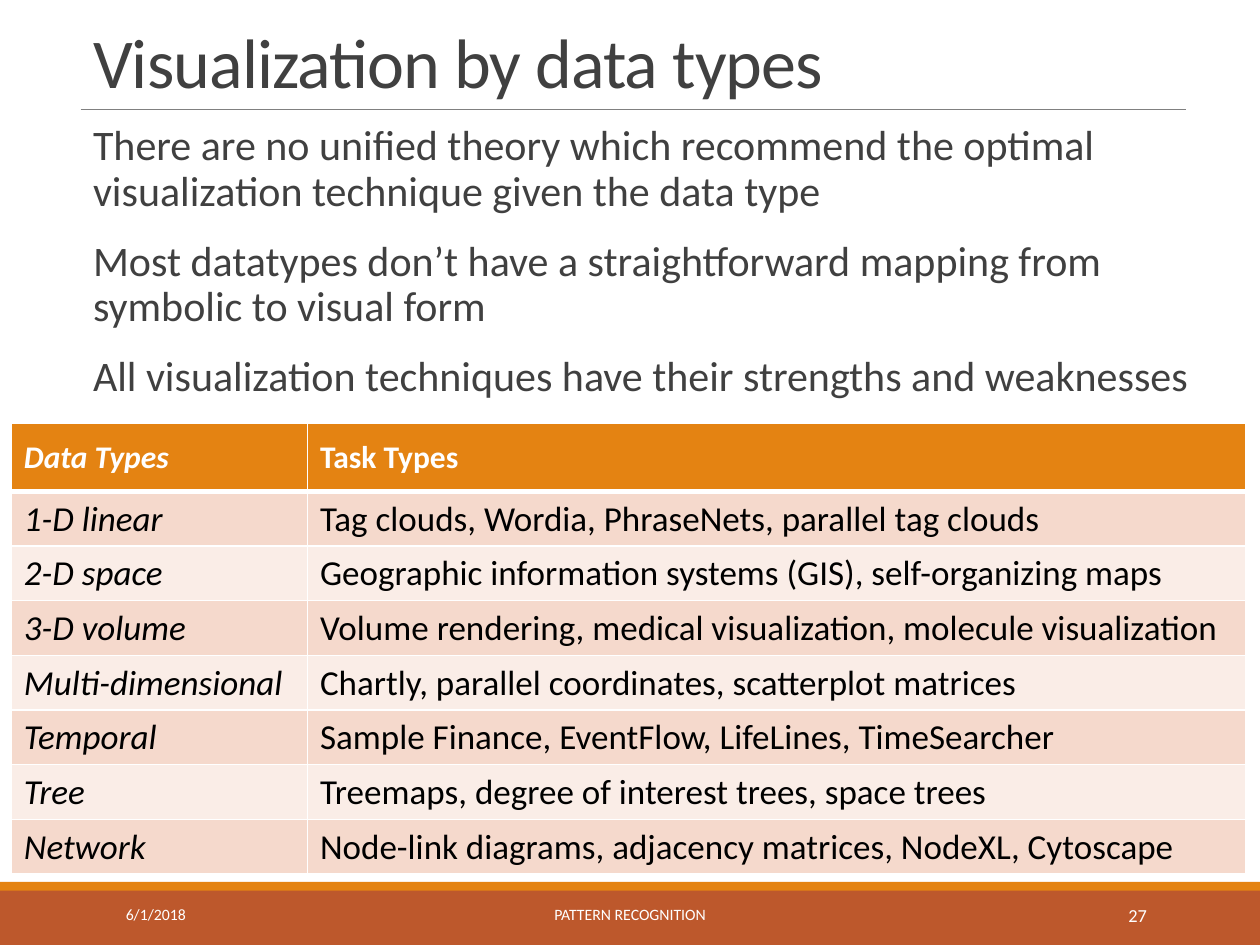
from lxml.etree import SubElement
from pptx import Presentation
from pptx.dml.color import RGBColor
from pptx.enum.shapes import MSO_CONNECTOR as Connector, MSO_SHAPE as Shape
from pptx.enum.text import MSO_ANCHOR as Anchor, MSO_AUTO_SIZE as AutoSize, PP_ALIGN as Align
from pptx.oxml import parse_xml
from pptx.oxml.ns import nsdecls, qn
from pptx.util import Inches, Pt

COLUMNS, ROWS = 100, 75
ORANGE, RUST, GREY, RULE, WHITE, BLACK = "E48312", "BD582C", "404040", "808080", "FFFFFF", "000000"
BANDS = ("FAEDE7", "F5D9CC")
STATEMENTS = [
    "There are no unified theory which recommend the optimal visualization technique given the data type",
    "Most datatypes don’t have a straightforward mapping from symbolic to visual form",
    "All visualization techniques have their strengths and weaknesses",
]
TECHNIQUES = [
    ("Data Types", "Task Types"),
    ("1-D linear", "Tag clouds, Wordia, PhraseNets, parallel tag clouds"),
    ("2-D space", "Geographic information systems (GIS), self-organizing maps"),
    ("3-D volume", "Volume rendering, medical visualization, molecule visualization"),
    ("Multi-dimensional", "Chartly, parallel coordinates, scatterplot matrices"),
    ("Temporal", "Sample Finance, EventFlow, LifeLines, TimeSearcher"),
    ("Tree", "Treemaps, degree of interest trees, space trees"),
    ("Network", "Node-link diagrams, adjacency matrices, NodeXL, Cytoscape"),
]
FOOTER = [
    ((9, 70.6, 20.3, 4), "6/1/2018", 9, Align.LEFT),
    ((30.2, 70.6, 39.6, 4), "PATTERN RECOGNITION", 9, Align.CENTER),
    ((81.2, 70.6, 10.8, 4), "27", 10.5, Align.RIGHT),
]


def color(value):
    return RGBColor.from_string(value)


def assign(target, values):
    for name, value in values.items():
        setattr(target, name, value)


class SlideBuilder:
    """Draws styled elements on the current slide, placed on a grid of columns and rows."""

    def __init__(self, presentation, font="Calibri"):
        self.font = font
        self.column = presentation.slide_width / COLUMNS
        self.row = presentation.slide_height / ROWS
        self.slide = presentation.slides.add_slide(presentation.slide_layouts[5])

    def place(self, *lengths):
        return [round(length * (self.row if index % 2 else self.column))
                for index, length in enumerate(lengths)]

    def fill_text(self, frame, texts, size, fill, layout=None, **style):
        for index, text in enumerate(texts):
            paragraph = frame.add_paragraph() if index else frame.paragraphs[0]
            assign(paragraph, layout or {})
            if index == 0:
                paragraph.space_before = Pt(0)
            run = paragraph.add_run()
            run.text = text
            assign(run.font, {"name": self.font, "size": Pt(size), **style})
            run.font.color.rgb = color(fill)

    def band(self, box, fill):
        shape = self.slide.shapes.add_shape(Shape.RECTANGLE, *self.place(*box))
        shape.shadow.inherit = False
        shape.fill.solid()
        shape.fill.fore_color.rgb = color(fill)
        shape.line.fill.background()

    def rule(self, ends, stroke, width):
        line = self.slide.shapes.add_connector(Connector.STRAIGHT, *self.place(*ends))
        line.line.color.rgb = color(stroke)
        line.line.width = Pt(width)
        SubElement(line._element.spPr, qn("a:effectLst"))

    def title(self, box, text, size, fill):
        title = self.slide.shapes.title
        assign(title, dict(zip(("left", "top", "width", "height"), self.place(*box))))
        frame = title.text_frame
        assign(frame, {"word_wrap": True, "auto_size": AutoSize.NONE, "vertical_anchor": Anchor.BOTTOM})
        self.fill_text(frame, [text], size, fill, {"alignment": Align.LEFT, "line_spacing": 0.85})
        frame.paragraphs[0].runs[0]._r.get_or_add_rPr().set("spc", "-50")

    def text(self, box, texts, size, fill, layout, **frame_values):
        frame = self.slide.shapes.add_textbox(*self.place(*box)).text_frame
        assign(frame, {"word_wrap": True, **frame_values})
        self.fill_text(frame, texts, size, fill, layout)

    def borders(self, cell, **widths):
        properties = cell._tc.get_or_add_tcPr()
        for index, (side, width) in enumerate(widths.items()):
            properties.insert(index, parse_xml(
                f'<a:ln{side} {nsdecls("a")} w="{Pt(width)}"><a:solidFill>'
                f'<a:srgbClr val="{WHITE}"/></a:solidFill></a:ln{side}>'))

    def table(self, box, records, column_widths, header_height):
        shape = self.slide.shapes.add_table(len(records), len(column_widths), *self.place(*box))
        table = shape.table
        for column, width in zip(table.columns, column_widths):
            column.width = round(width * self.column)
        body_height = (box[3] - header_height) / (len(records) - 1)
        for number, record in enumerate(records):
            header = number == 0
            table.rows[number].height = round((header_height if header else body_height) * self.row)
            for position, text in enumerate(record):
                cell = table.cell(number, position)
                cell.fill.solid()
                cell.fill.fore_color.rgb = color(ORANGE if header else BANDS[number % 2])
                cell.vertical_anchor = Anchor.MIDDLE if header else Anchor.TOP
                self.borders(cell, L=1, R=1, T=3 if number == 1 else 1, B=3 if header else 1)
                self.fill_text(cell.text_frame, [text], 18 if header else 20, WHITE if header else BLACK,
                               bold=header, italic=position == 0)


def main():
    presentation = Presentation()
    assign(presentation, {"slide_width": Inches(10), "slide_height": Inches(7.5)})
    builder = SlideBuilder(presentation)
    builder.band((0, 70.6, 100, 4.4), RUST)
    builder.band((0, 70, 100, 0.7), ORANGE)
    builder.rule((6.4, 8.7, 94.1, 8.7), RULE, 0.5)
    builder.title((6.4, 1.3, 87.7, 7.4), "Visualization by data types", 40, GREY)
    builder.text((6.4, 9.4, 89.6, 24), STATEMENTS, 24, GREY,
                 {"line_spacing": 0.9, "space_before": Pt(12), "space_after": Pt(2)},
                 margin_left=Inches(0.1), margin_right=0)
    for box, text, size, alignment in FOOTER:
        builder.text(box, [text], size, WHITE, {"alignment": alignment}, vertical_anchor=Anchor.MIDDLE)
    builder.table((0.9, 33.6, 98, 34.1), TECHNIQUES, (23.5, 74.5), 5.4)
    presentation.save("out.pptx")


if __name__ == "__main__":
    main()
